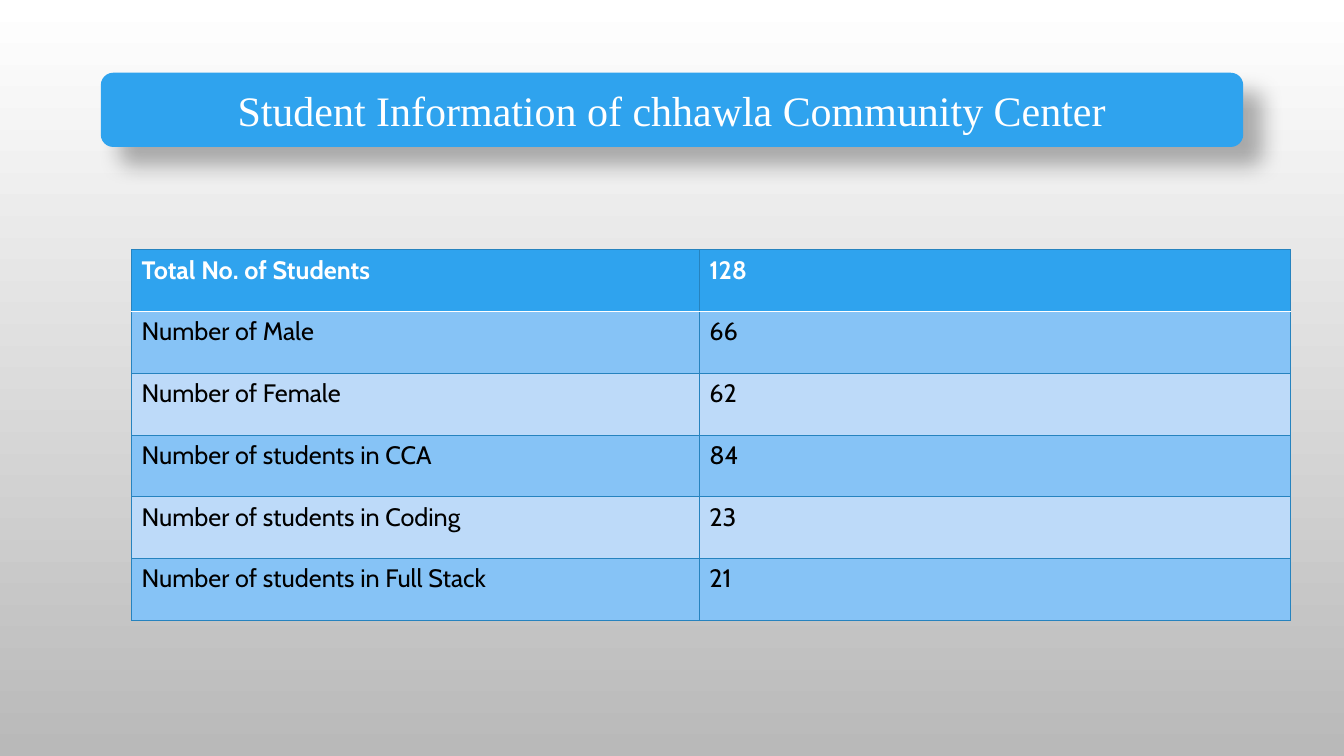
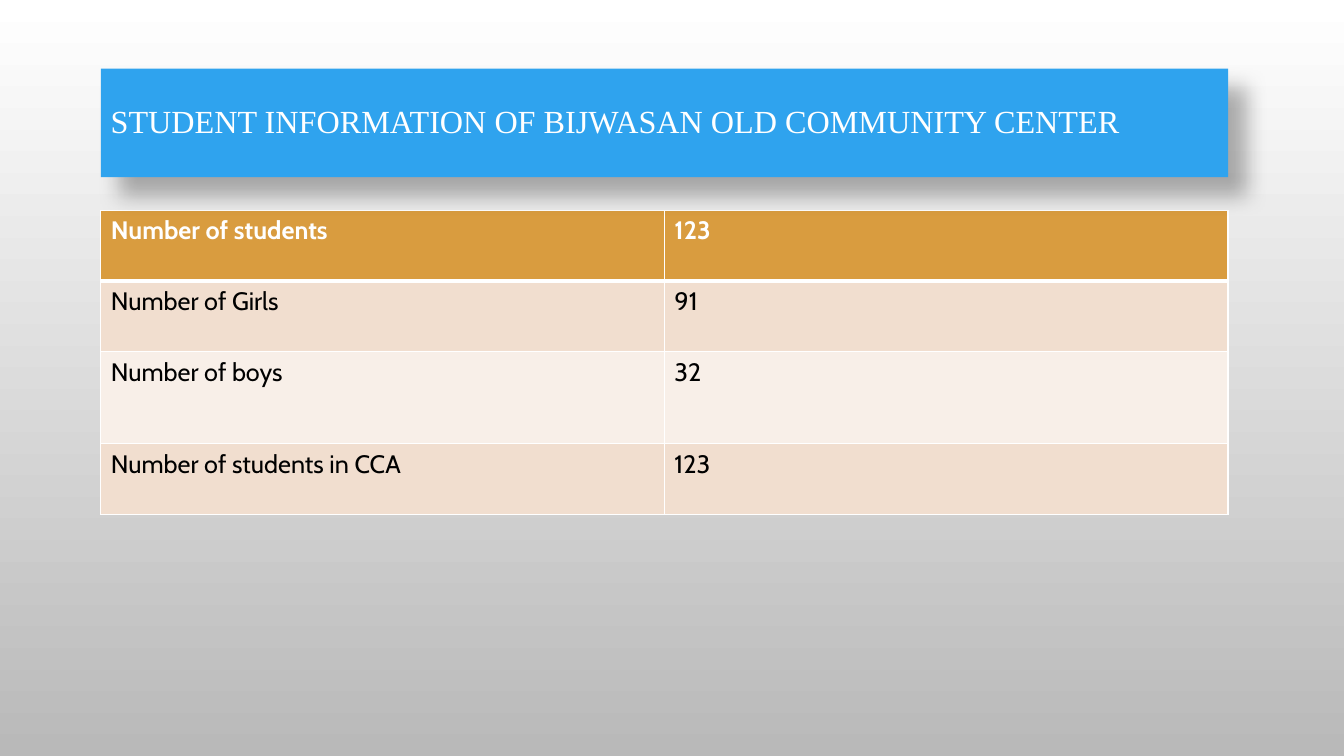
from dataclasses import dataclass

from lxml import etree
from pptx import Presentation
from pptx.dml.color import RGBColor
from pptx.enum.shapes import MSO_SHAPE
from pptx.enum.text import MSO_ANCHOR, PP_ALIGN
from pptx.oxml.ns import qn
from pptx.util import Pt

RECTANGLE = MSO_SHAPE.RECTANGLE
ROUNDED = MSO_SHAPE.ROUNDED_RECTANGLE
MIDDLE = MSO_ANCHOR.MIDDLE
LEFT, CENTER = PP_ALIGN.LEFT, PP_ALIGN.CENTER


@dataclass(frozen=True)
class TableStyle:
    header: str
    bands: tuple
    border: str
    border_width: float
    header_rule: float


class Theme:
    white, black = "FFFFFF", "000000"
    background = ("FFFFFF", "B9B9B9")
    banner = "2FA3EE"
    title_font, body_font = "Times New Roman", "Cabin"
    title_size, caps_title_size, body_size = 30, 23, 18
    blue_table = TableStyle("2FA3EE", ("86C3F6", "BDDAF9"), "2683BF", 0.75, 1.25)
    amber_table = TableStyle("D99C3F", ("F1DECF", "F8EFE8"), "FFFFFF", 1, 3)


def rgb(color):
    return RGBColor.from_string(color)


def add_element(parent, tag, **attributes):
    child = etree.SubElement(parent, qn(tag))
    for name, value in attributes.items():
        child.set(name, str(value))
    return child


class Deck:
    def __init__(self):
        self.presentation = Presentation()
        self.presentation.slide_width = Pt(960)
        self.presentation.slide_height = Pt(540)
        self.slide = None

    def add_slide(self):
        self.slide = self.presentation.slides.add_slide(
            self.presentation.slide_layouts[6])
        fill = self.slide.background.fill
        fill.gradient()
        fill.gradient_angle = 270  # top to bottom
        for position, (stop, color) in enumerate(
                zip(fill.gradient_stops, Theme.background)):
            stop.position = position
            stop.color.rgb = rgb(color)

    def style_paragraph(self, paragraph, font, size, color, bold=False):
        paragraph.font.name = font
        paragraph.font.size = Pt(size)
        paragraph.font.bold = bold
        paragraph.font.color.rgb = rgb(color)

    def add_shadow(self, shape):
        shape.shadow.inherit = False
        effects = shape._element.spPr.find(qn("a:effectLst"))
        shadow = add_element(effects, "a:outerShdw", blurRad=Pt(15), dist=Pt(18),
                             dir=45 * 60000, algn="tl", rotWithShape=0)
        color = add_element(shadow, "a:srgbClr", val=Theme.black)
        add_element(color, "a:alpha", val=30000)

    def add_banner(self, text, kind, top, width, height, size, alignment,
                   line_spacing=1.0):
        shape = self.slide.shapes.add_shape(
            kind, Pt(72), Pt(top), Pt(width), Pt(height))
        shape.fill.solid()
        shape.fill.fore_color.rgb = rgb(Theme.banner)
        shape.line.fill.background()
        self.add_shadow(shape)
        frame = shape.text_frame
        frame.word_wrap = True
        frame.vertical_anchor = MIDDLE
        paragraph = frame.paragraphs[0]
        paragraph.text = text
        paragraph.alignment = alignment
        paragraph.line_spacing = line_spacing
        self.style_paragraph(paragraph, Theme.title_font, size, Theme.white)

    def add_borders(self, cell, row, style):
        properties = cell._tc.get_or_add_tcPr()
        plain = (style.border, style.border_width)
        rule = (Theme.white, style.header_rule)
        borders = {"a:lnL": plain, "a:lnR": plain,
                   "a:lnT": rule if row == 1 else plain,
                   "a:lnB": rule if row == 0 else plain}
        for tag, (color, width) in borders.items():
            line = add_element(properties, tag, w=Pt(width))
            add_element(add_element(line, "a:solidFill"), "a:srgbClr", val=color)

    def add_table(self, rows, left, top, widths, heights, style):
        table = self.slide.shapes.add_table(
            len(rows), len(widths), Pt(left), Pt(top),
            Pt(sum(widths)), Pt(sum(heights))).table
        table.horz_banding = False
        for column, width in zip(table.columns, widths):
            column.width = Pt(width)
        for index, (values, height) in enumerate(zip(rows, heights)):
            table.rows[index].height = Pt(height)
            header = index == 0
            fill = style.header if header else style.bands[(index - 1) % 2]
            for cell, value in zip(table.rows[index].cells, values):
                self.add_borders(cell, index, style)
                cell.fill.solid()
                cell.fill.fore_color.rgb = rgb(fill)
                cell.text = value
                self.style_paragraph(
                    cell.text_frame.paragraphs[0], Theme.body_font,
                    Theme.body_size, Theme.white if header else Theme.black, header)


def main():
    deck = Deck()

    # Chhawla center
    deck.add_slide()
    chhawla = [
        ("Total No. of Students", "128"),
        ("Number of Male", "66"),
        ("Number of Female", "62"),
        ("Number of students in CCA", "84"),
        ("Number of students in Coding", "23"),
        ("Number of students in Full Stack", "21"),
    ]
    deck.add_table(chhawla, 94, 178.3, (405.5, 422), [44.15] * len(chhawla),
                   Theme.blue_table)
    deck.add_banner("Student Information of chhawla Community Center", ROUNDED,
                    52, 816, 53, Theme.title_size, CENTER)

    # Bijwasan center
    deck.add_slide()
    bijwasan = [
        ("Number of students", "123"),
        ("Number of Girls", "91"),
        ("Number of boys", "32"),
        ("Number of students in CCA", "123"),
    ]
    deck.add_table(bijwasan, 72, 150.3, (402.6, 402.6), (50.5, 50.5, 65.8, 50.5),
                   Theme.amber_table)
    deck.add_banner("STUDENT INFORMATION OF BIJWASAN OLD COMMUNITY CENTER",
                    RECTANGLE, 49, 805.2, 77.5, Theme.caps_title_size, LEFT, 0.9)

    deck.presentation.save("out.pptx")


if __name__ == "__main__":
    main()
